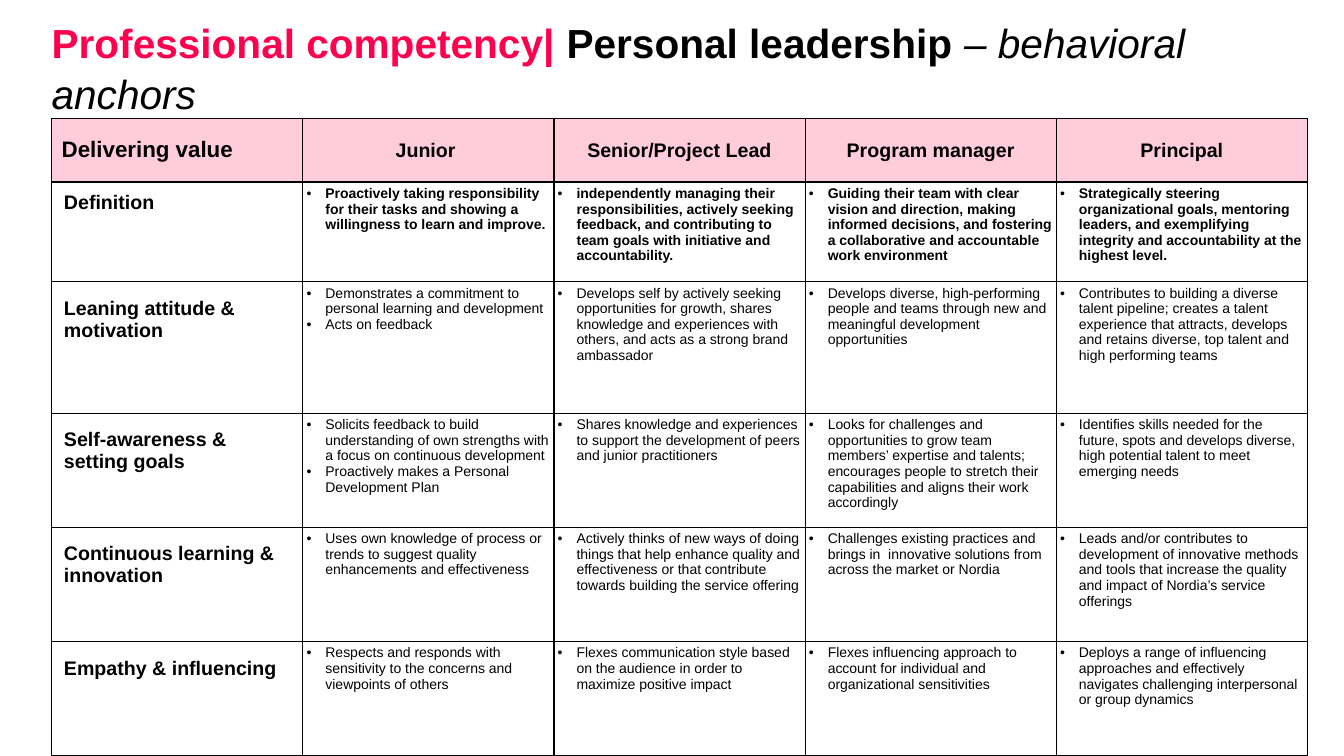
from lxml.etree import SubElement
from pptx import Presentation
from pptx.dml.color import RGBColor
from pptx.enum.text import MSO_ANCHOR as Anchor, PP_ALIGN as Align
from pptx.oxml.ns import qn
from pptx.util import Pt

PINK = RGBColor(0xFF, 0x00, 0x4F)
PALE_PINK = RGBColor(0xFF, 0xCC, 0xDC)
BLACK = RGBColor(0x00, 0x00, 0x00)
WHITE = RGBColor(0xFF, 0xFF, 0xFF)

LEFT = 36.9
COLUMN_WIDTH = 179.5
ROW_HEIGHTS = [45.4, 71.2, 94, 81.5, 81.5, 81.5]
# Cell margins: left, top, right, bottom
TOPIC_MARGINS = (8.8, 11.3, 7.2, 3.6)
DEFINITION_MARGINS = (8.8, 7.2, 7.2, 7.2)
CORNER_MARGINS = (7.2, 3.6, 7.2, 3.6)
TIGHT_MARGINS = (2.7, 2.7, 2.7, 2.7)

LEVELS = ["Delivering value", "Junior ", "Senior/Project Lead", "Program manager", "Principal"]

# Topic, then the anchors of each level; a level may hold several bullets
ANCHORS = [
    ("Definition",
     ["Proactively taking responsibility for their tasks and showing a willingness to learn and improve."],
     ["independently managing their responsibilities, actively seeking feedback, and contributing to "
      "team goals with initiative and accountability."],
     ["Guiding their team with clear vision and direction, making informed decisions, and fostering "
      "a collaborative and accountable work environment"],
     ["Strategically steering organizational goals, mentoring leaders, and exemplifying integrity and "
      "accountability at the highest level."]),
    ("Leaning attitude & motivation",
     ["Demonstrates a commitment to personal learning and development", "Acts on feedback"],
     ["Develops self by actively seeking opportunities for growth, shares knowledge and experiences "
      "with others, and acts as a strong brand ambassador"],
     ["Develops diverse, high-performing people and teams through new and meaningful development "
      "opportunities"],
     ["Contributes to building a diverse talent pipeline; creates a talent experience that attracts, "
      "develops and retains diverse, top talent and high performing teams"]),
    ("Self-awareness & setting goals",
     ["Solicits feedback to build understanding of own strengths with a focus on continuous development",
      "Proactively makes a Personal Development Plan"],
     ["Shares knowledge and experiences to support the development of peers and junior practitioners"],
     ["Looks for challenges and opportunities to grow team members’ expertise and talents; encourages "
      "people to stretch their capabilities and aligns their work accordingly"],
     ["Identifies skills needed for the future, spots and develops diverse, high potential talent to "
      "meet emerging needs"]),
    ("Continuous learning & innovation",
     ["Uses own knowledge of process or trends to suggest quality enhancements and effectiveness"],
     ["Actively thinks of new ways of doing things that help enhance quality and effectiveness or that "
      "contribute towards building the service offering"],
     ["Challenges existing practices and brings in  innovative solutions from across the market or Nordia"],
     ["Leads and/or contributes to development of innovative methods and tools that increase the "
      "quality and impact of Nordia’s service offerings"]),
    ("Empathy & influencing",
     ["Respects and responds with sensitivity to the concerns and viewpoints of others"],
     ["Flexes communication style based on the audience in order to maximize positive impact"],
     ["Flexes influencing approach to account for individual and organizational sensitivities"],
     ["Deploys a range of influencing approaches and effectively navigates challenging interpersonal "
      "or group dynamics"]),
]


def add_text(paragraph, text, size, color=BLACK, bold=False, italic=False):
    run = paragraph.add_run()
    run.text = text
    font = run.font
    font.name, font.size = "Arial", Pt(size)
    font.bold, font.italic = bold, italic
    font.color.rgb = color


def add_bullet(paragraph):
    props = paragraph._p.get_or_add_pPr()
    props.set("marL", str(Pt(13.5)))
    props.set("indent", str(Pt(-13.5)))
    SubElement(props, qn("a:buFont"), typeface="Arial")
    SubElement(props, qn("a:buChar"), char="•")


def add_borders(cell):
    props = cell._tc.get_or_add_tcPr()
    for side in ("lnL", "lnR", "lnT", "lnB"):
        border = SubElement(props, qn(f"a:{side}"), w=str(Pt(1)))
        fill = SubElement(border, qn("a:solidFill"))
        SubElement(fill, qn("a:srgbClr"), val=str(BLACK))


def fill_cell(cell, texts, margins, size, fill=WHITE, bold=True, bullets=False,
              align=Align.LEFT, anchor=Anchor.TOP):
    add_borders(cell)
    cell.fill.solid()
    cell.fill.fore_color.rgb = fill
    cell.vertical_anchor = anchor
    cell.margin_left, cell.margin_top, cell.margin_right, cell.margin_bottom = map(Pt, margins)
    frame = cell.text_frame
    for index, text in enumerate(texts):
        paragraph = frame.add_paragraph() if index else frame.paragraphs[0]
        paragraph.alignment = align
        if bullets:
            add_bullet(paragraph)
        add_text(paragraph, text, size, bold=bold)


def add_title(slide):
    frame = slide.shapes.add_textbox(Pt(LEFT), Pt(10.8), Pt(886), Pt(72)).text_frame
    frame.word_wrap = True
    frame.margin_left = frame.margin_top = frame.margin_right = frame.margin_bottom = 0
    heading = frame.paragraphs[0]
    heading.line_spacing = 1.05
    add_text(heading, "Professional competency| ", 29, color=PINK, bold=True)
    add_text(heading, "Personal leadership ", 29, bold=True)
    add_text(heading, "– behavioral anchors", 29, italic=True)


def add_anchor_table(slide):
    table = slide.shapes.add_table(len(ROW_HEIGHTS), len(LEVELS), Pt(LEFT), Pt(84.6),
                                   Pt(COLUMN_WIDTH * len(LEVELS)), Pt(sum(ROW_HEIGHTS))).table
    table.first_row = table.horz_banding = False
    for column in table.columns:
        column.width = Pt(COLUMN_WIDTH)
    for row, height in zip(table.rows, ROW_HEIGHTS):
        row.height = Pt(height)

    # Header row
    for col, level in enumerate(LEVELS):
        fill_cell(table.cell(0, col), [level], TIGHT_MARGINS if col else CORNER_MARGINS,
                  14 if col else 16, fill=PALE_PINK, anchor=Anchor.MIDDLE,
                  align=Align.CENTER if col else Align.LEFT)

    # Topic rows; the definition row is bold throughout
    for row, (topic, *levels) in enumerate(ANCHORS, start=1):
        is_definition = row == 1
        fill_cell(table.cell(row, 0), [topic],
                  DEFINITION_MARGINS if is_definition else TOPIC_MARGINS, 14)
        for col, anchors in enumerate(levels, start=1):
            fill_cell(table.cell(row, col), anchors, TIGHT_MARGINS, 10,
                      bold=is_definition, bullets=True)


def main():
    deck = Presentation()
    deck.slide_width, deck.slide_height = Pt(960.5), Pt(540)
    slide = deck.slides.add_slide(deck.slide_layouts[6])
    add_title(slide)
    add_anchor_table(slide)
    deck.save("out.pptx")


if __name__ == "__main__":
    main()
